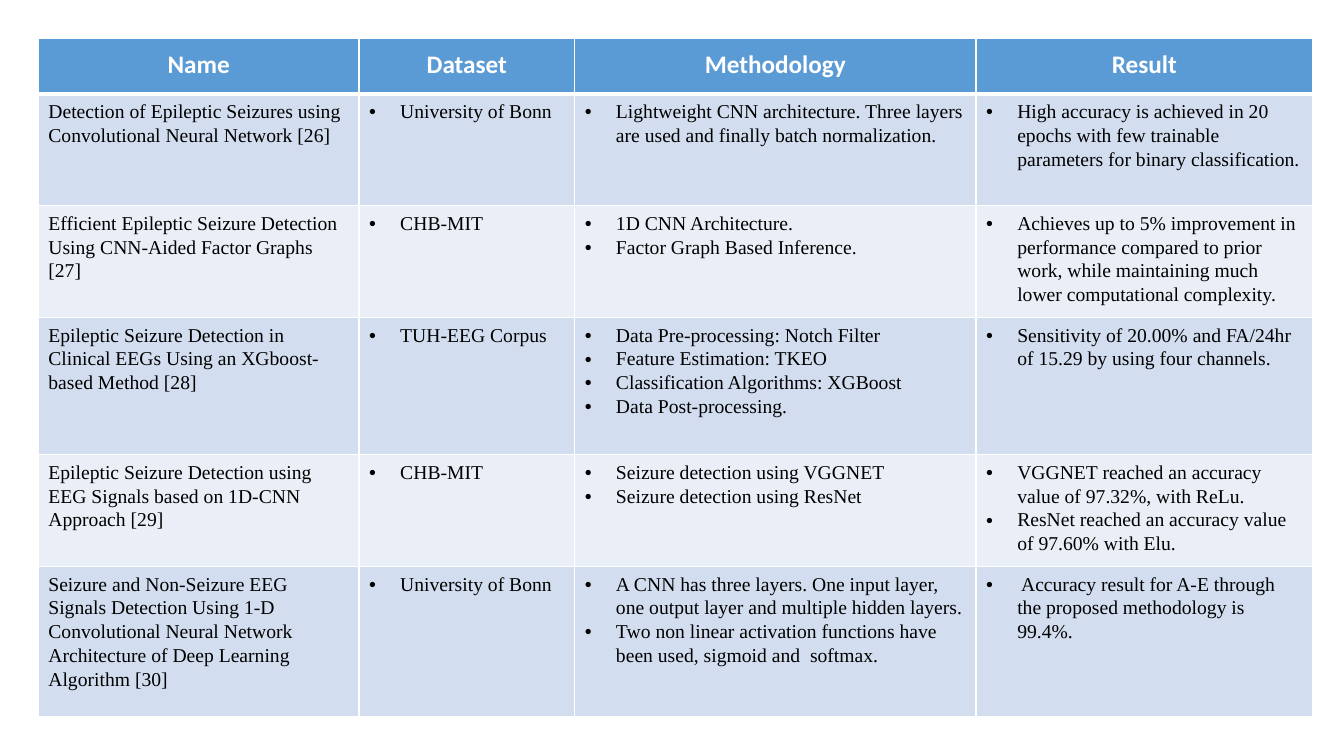
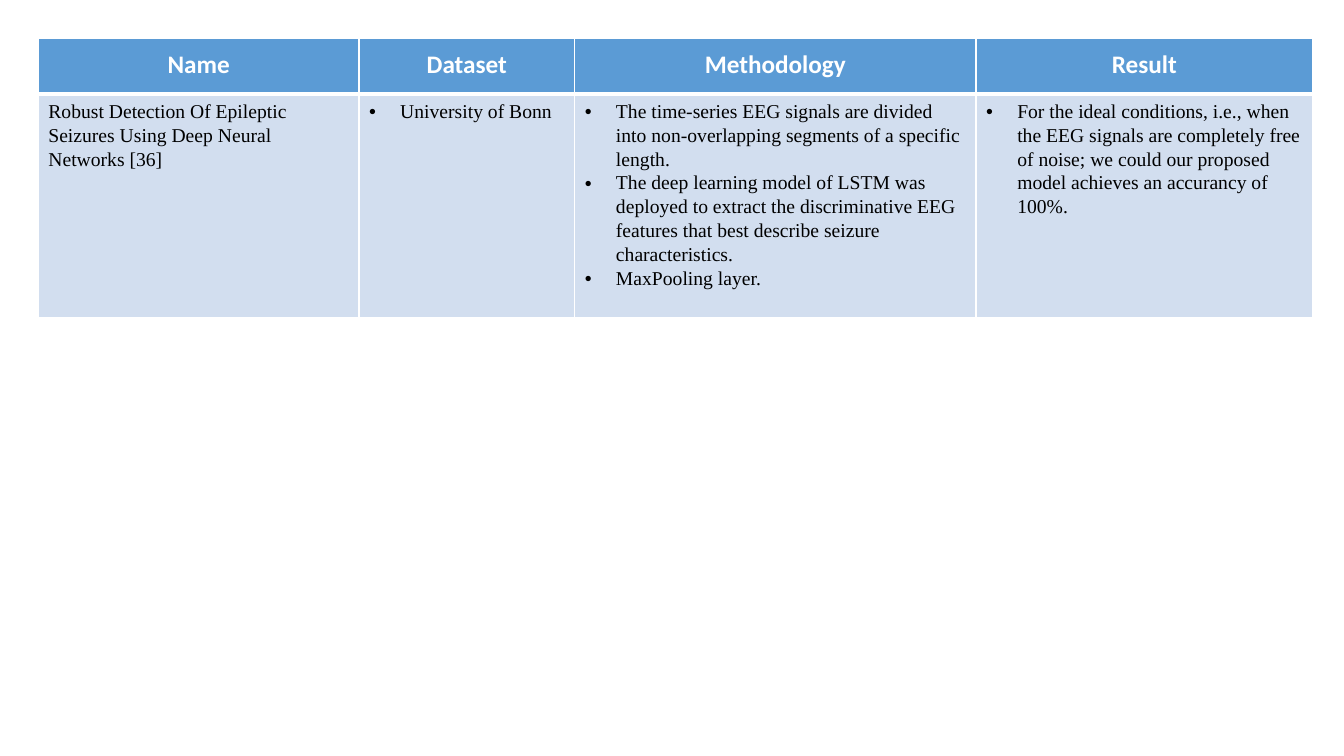
"""Build two slides of literature tables on epileptic seizure detection."""

from dataclasses import dataclass

from lxml import etree
from pptx import Presentation
from pptx.dml.color import RGBColor
from pptx.enum.text import PP_ALIGN
from pptx.oxml.ns import qn
from pptx.util import Inches, Pt

CENTER = PP_ALIGN.CENTER
LEFT = PP_ALIGN.LEFT


@dataclass(frozen=True)
class TextStyle:
    font: str
    size: float
    color: str
    bold: bool
    line_spacing: float
    alignment: PP_ALIGN


@dataclass(frozen=True)
class Theme:
    header_text: TextStyle = TextStyle("Calibri", 18, "FFFFFF", True, 1.2, CENTER)
    body_text: TextStyle = TextStyle("Times New Roman", 14, "000000", False, 1.1, LEFT)
    header_fill: str = "5B9BD5"
    band_fills: tuple[str, str] = ("D2DEEF", "EAEFF7")
    border: str = "FFFFFF"
    thin_border: float = 1
    thick_border: float = 3
    bullet_indent: float = 0.31


@dataclass(frozen=True)
class Study:
    name: str
    dataset: str
    methodology: tuple[str, ...]
    result: tuple[str, ...]
    height: float = 1.11


THEME = Theme()
HEADINGS = ("Name", "Dataset", "Methodology", "Result")
COLUMN_WIDTHS = (3.18, 2.14, 3.98, 3.34)
HEADER_HEIGHT = 0.55
TABLE_LEFT = TABLE_TOP = 0.38

SLIDES = (
    (
        Study(
            "Detection of Epileptic Seizures using Convolutional Neural Network [26]",
            "University of Bonn",
            ("Lightweight CNN architecture. Three layers are used and finally "
             "batch normalization.",),
            ("High accuracy is achieved in 20 epochs with few trainable "
             "parameters for binary classification.",),
        ),
        Study(
            "Efficient Epileptic Seizure Detection Using CNN-Aided Factor Graphs [27]",
            "CHB-MIT",
            ("1D CNN Architecture.", "Factor Graph Based Inference."),
            ("Achieves up to 5% improvement in performance compared to prior "
             "work, while maintaining much lower computational complexity.",),
        ),
        Study(
            "Epileptic Seizure Detection in Clinical EEGs Using an XGboost-based Method [28]",
            "TUH-EEG Corpus",
            ("Data Pre-processing: Notch Filter",
             "Feature Estimation: TKEO",
             "Classification Algorithms: XGBoost",
             "Data Post-processing."),
            ("Sensitivity of 20.00% and FA/24hr of 15.29 by using four channels.",),
            height=1.36,
        ),
        Study(
            "Epileptic Seizure Detection using EEG Signals based on 1D-CNN Approach [29]",
            "CHB-MIT",
            ("Seizure detection using VGGNET", "Seizure detection using ResNet"),
            ("VGGNET reached an accuracy value of 97.32%, with ReLu.",
             "ResNet reached an accuracy value of 97.60% with Elu."),
        ),
        Study(
            "Seizure and Non-Seizure EEG Signals Detection Using 1-D Convolutional "
            "Neural Network Architecture of Deep Learning Algorithm [30]",
            "University of Bonn",
            ("A CNN has three layers. One input layer, one output layer and "
             "multiple hidden layers.",
             "Two non linear activation functions have been used, sigmoid and  softmax."),
            (" Accuracy result for A-E through the proposed methodology is 99.4%.",),
            height=1.49,
        ),
    ),
    (
        Study(
            "Robust Detection Of Epileptic Seizures Using Deep Neural Networks [36]",
            "University of Bonn",
            ("The time-series EEG signals are divided into non-overlapping "
             "segments of a specific length.",
             "The deep learning model of LSTM was deployed to extract the "
             "discriminative EEG features that best describe seizure characteristics.",
             "MaxPooling layer."),
            ("For the ideal conditions, i.e., when the EEG signals are completely "
             "free of noise; we could our proposed model achieves an accurancy of 100%.",),
            height=2.22,
        ),
    ),
)


def set_borders(cell, top: float, bottom: float) -> None:
    """Line all four sides of a cell; call before setting its fill."""
    properties = cell._tc.get_or_add_tcPr()
    thin = THEME.thin_border
    for side, width in (("L", thin), ("R", thin), ("T", top), ("B", bottom)):
        line = etree.SubElement(properties, qn(f"a:ln{side}"), w=str(Pt(width)))
        fill = etree.SubElement(line, qn("a:solidFill"))
        etree.SubElement(fill, qn("a:srgbClr"), val=THEME.border)


def add_bullet(paragraph) -> None:
    """Give a paragraph a round bullet with a hanging indent."""
    properties = paragraph._p.get_or_add_pPr()
    indent = Inches(THEME.bullet_indent)
    properties.set("marL", str(indent))
    properties.set("indent", str(-indent))
    etree.SubElement(properties, qn("a:buFont"), typeface="Arial")
    etree.SubElement(properties, qn("a:buChar"), char="•")


def write_cell(cell, lines: tuple[str, ...], style: TextStyle, fill: str,
               bulleted: bool = False) -> None:
    """Fill a cell and write one styled paragraph per line."""
    cell.fill.solid()
    cell.fill.fore_color.rgb = RGBColor.from_string(fill)
    cell.text_frame.text = "\n".join(lines)
    for paragraph in cell.text_frame.paragraphs:
        paragraph.alignment = style.alignment
        paragraph.line_spacing = style.line_spacing
        if bulleted:
            add_bullet(paragraph)
        paragraph.font.name = style.font
        paragraph.font.size = Pt(style.size)
        paragraph.font.bold = style.bold
        paragraph.font.color.rgb = RGBColor.from_string(style.color)


def add_study_table(slide, studies: tuple[Study, ...]) -> None:
    """Add a table with a header row and one banded row per study."""
    heights = (HEADER_HEIGHT, *(study.height for study in studies))
    table = slide.shapes.add_table(
        len(heights), len(HEADINGS), Inches(TABLE_LEFT), Inches(TABLE_TOP),
        Inches(sum(COLUMN_WIDTHS)), Inches(sum(heights)),
    ).table
    for column, width in zip(table.columns, COLUMN_WIDTHS):
        column.width = Inches(width)
    for row, height in zip(table.rows, heights):
        row.height = Inches(height)

    for cell, heading in zip(table.rows[0].cells, HEADINGS):
        set_borders(cell, THEME.thin_border, THEME.thick_border)
        write_cell(cell, (heading,), THEME.header_text, THEME.header_fill)

    for index, study in enumerate(studies):
        top = THEME.thin_border if index else THEME.thick_border
        fill = THEME.band_fills[index % 2]
        contents = ((study.name,), (study.dataset,), study.methodology, study.result)
        for column_index, lines in enumerate(contents):
            cell = table.cell(index + 1, column_index)
            set_borders(cell, top, THEME.thin_border)
            write_cell(cell, lines, THEME.body_text, fill, bulleted=column_index > 0)


def main() -> None:
    """Build and save the presentation."""
    presentation = Presentation()
    presentation.slide_width = Inches(13.33)
    presentation.slide_height = Inches(7.5)
    blank_layout = presentation.slide_layouts[6]
    for studies in SLIDES:
        add_study_table(presentation.slides.add_slide(blank_layout), studies)
    presentation.save("out.pptx")


if __name__ == "__main__":
    main()
